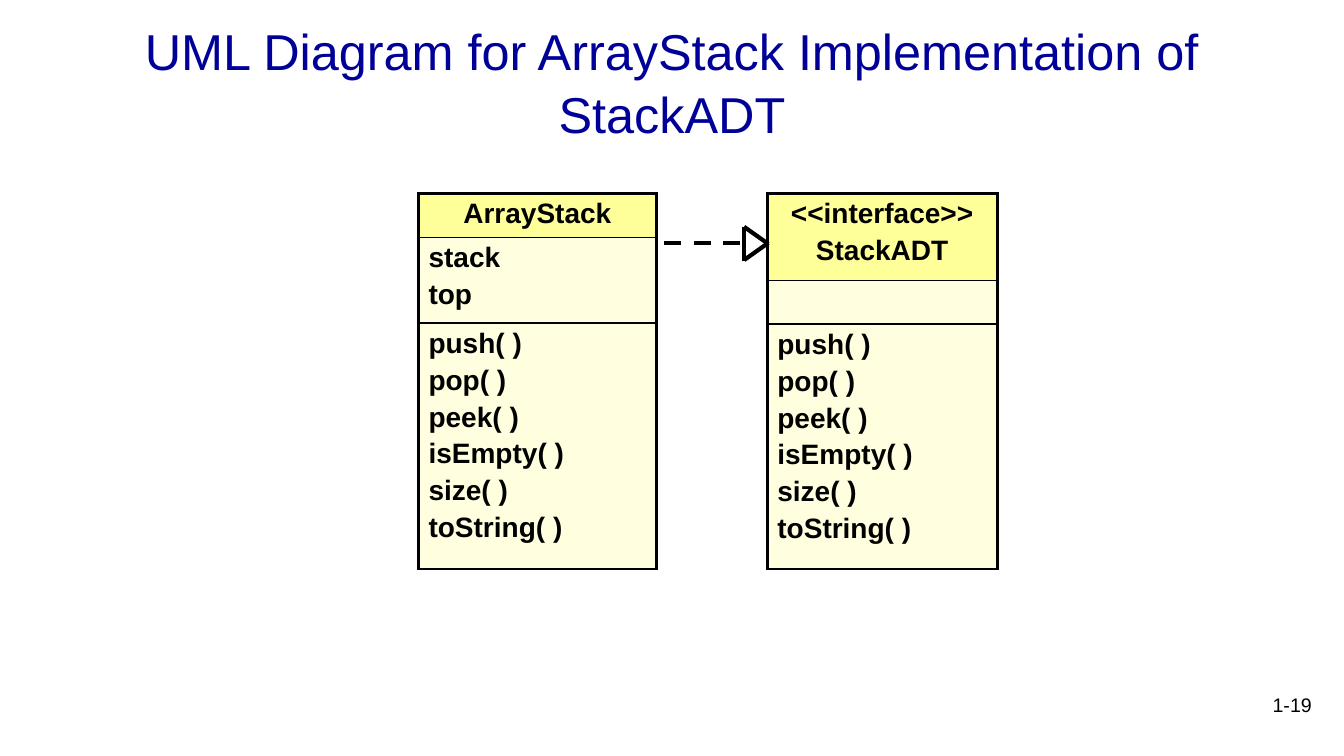
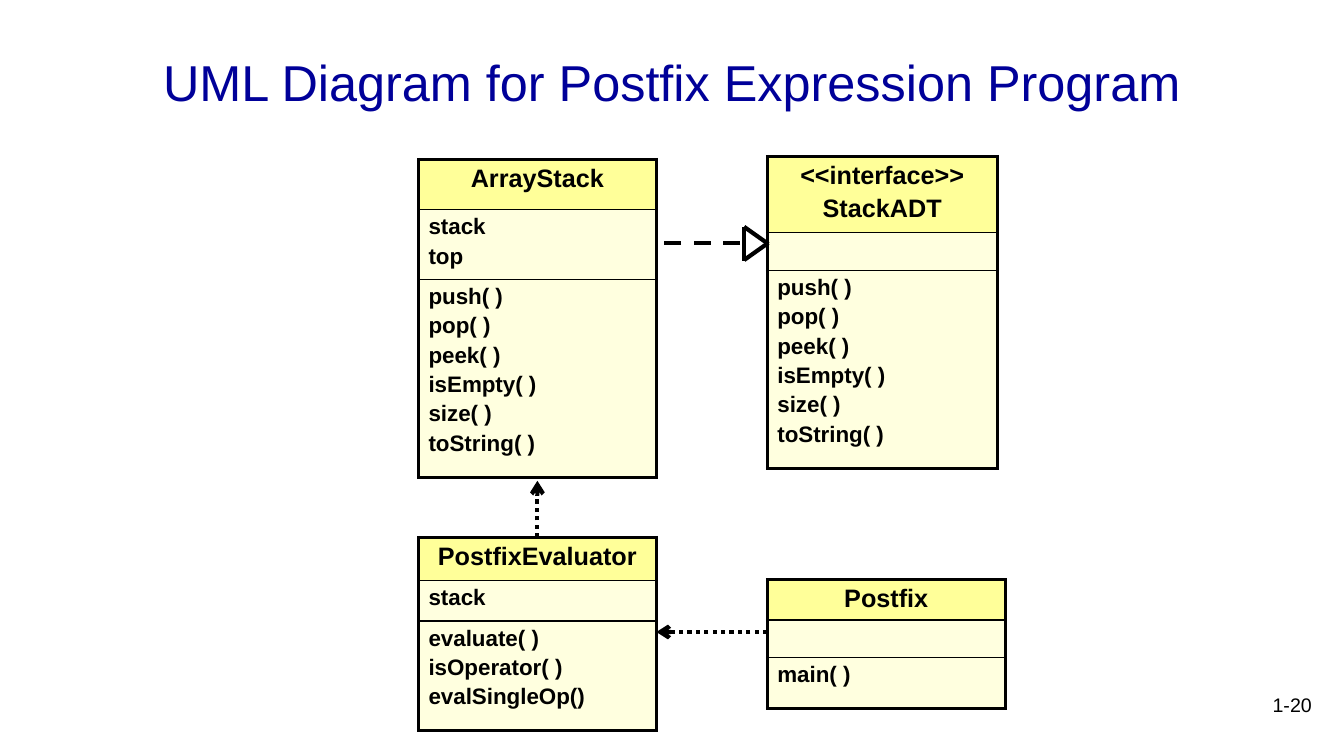
from dataclasses import dataclass

from lxml import etree
from pptx import Presentation
from pptx import util as u
from pptx.dml.color import RGBColor
from pptx.enum import dml, shapes, text
from pptx.oxml.ns import qn
from pptx.slide import Slide
from pptx.table import _Cell as Cell
from pptx.text.text import TextFrame

EMU_PER_PX = 9144
FONT = "Arial"
BLACK = "000000"
TITLE_BLUE = "000099"
HEADER_YELLOW = "FFFF99"
BODY_YELLOW = "FFFFDF"
OUTER_BORDER = 2.25
INNER_BORDER = 1
LEFT, CENTER, RIGHT = text.PP_ALIGN.LEFT, text.PP_ALIGN.CENTER, text.PP_ALIGN.RIGHT
DASHED = dml.MSO_LINE.DASH
DOTTED = dml.MSO_LINE.ROUND_DOT
STACK_FIELDS = ("stack", "top")
STACK_METHODS = ("push( )", "pop( )", "peek( )", "isEmpty( )", "size( )", "toString( )")
INTERFACE_NAME = ("<<interface>>", "StackADT")


@dataclass(frozen=True)
class ClassBox:
    left: int
    top: int
    width: int
    row_heights: tuple[int, int, int]
    name: tuple[str, ...]
    fields: tuple[str, ...]
    methods: tuple[str, ...]


@dataclass(frozen=True)
class Link:
    start: tuple[int, int]
    end: tuple[int, int]
    dash: dml.MSO_LINE | None = None
    arrow: bool = False


@dataclass(frozen=True)
class Diagram:
    title: str
    number: str
    name_size: int
    member_size: int
    boxes: tuple[ClassBox, ...]
    links: tuple[Link, ...]


REALIZATION = (
    Link((738, 225), (738, 259)),
    Link((738, 225), (762, 242)),
    Link((762, 241), (738, 258)),
    Link((734, 241), (651, 241), DASHED),
)

DIAGRAMS = (
    Diagram(
        "UML Diagram for ArrayStack Implementation of StackADT", "1-19", 20, 20,
        (
            ClassBox(761, 192, 228, (86, 43, 243), INTERFACE_NAME, (), STACK_METHODS),
            ClassBox(415, 192, 236, (43, 85, 244), ("ArrayStack",), STACK_FIELDS, STACK_METHODS),
        ),
        REALIZATION,
    ),
    Diagram(
        "UML Diagram for Postfix Expression Program", "1-20", 18, 16,
        (
            ClassBox(761, 155, 228, (76, 37, 197), INTERFACE_NAME, (), STACK_METHODS),
            ClassBox(415, 158, 236, (50, 69, 197), ("ArrayStack",), STACK_FIELDS, STACK_METHODS),
            ClassBox(761, 575, 236, (40, 37, 51), ("Postfix",), (), ("main( )",)),
            ClassBox(415, 533, 236, (43, 40, 109), ("PostfixEvaluator",), ("stack",),
                     ("evaluate( )", "isOperator( )", "evalSingleOp()")),
        ),
        (
            Link((761, 627), (651, 627), DOTTED, True),
            Link((533, 533), (533, 477), DOTTED, True),
            *REALIZATION,
        ),
    ),
)


def px(length: int) -> u.Emu:
    return u.Emu(length * EMU_PER_PX)


def color(value: str) -> RGBColor:
    return RGBColor.from_string(value)


def format_text(frame: TextFrame, size: int, align: text.PP_ALIGN,
                font_color: str = BLACK, bold: bool = False) -> None:
    for paragraph in frame.paragraphs:
        paragraph.alignment = align
        for run in paragraph.runs:
            run.font.name = FONT
            run.font.size = u.Pt(size)
            run.font.bold = bold
            run.font.color.rgb = color(font_color)


def add_title(slide: Slide, title: str) -> None:
    shape = slide.shapes.title
    shape.left, shape.top, shape.width, shape.height = map(px, (100, 17, 1133, 125))
    frame = shape.text_frame
    frame.text = title
    frame.word_wrap = True
    frame.auto_size = text.MSO_AUTO_SIZE.NONE
    frame.vertical_anchor = text.MSO_ANCHOR.MIDDLE
    frame.paragraphs[0].line_spacing = 1.05
    format_text(frame, 36, CENTER, TITLE_BLUE)


def add_number(slide: Slide, number: str) -> None:
    frame = slide.shapes.add_textbox(*map(px, (1033, 683, 278, 50))).text_frame
    frame.word_wrap = True
    frame.text = number
    format_text(frame, 14, RIGHT)


def set_borders(cell: Cell, top: float, bottom: float) -> None:
    properties = cell._tc.get_or_add_tcPr()
    widths = {"L": OUTER_BORDER, "R": OUTER_BORDER, "T": top, "B": bottom}
    for side, width in widths.items():
        line = etree.SubElement(properties, qn(f"a:ln{side}"), w=str(u.Pt(width)))
        fill = etree.SubElement(line, qn("a:solidFill"))
        etree.SubElement(fill, qn("a:srgbClr"), val=BLACK)


def fill_cell(cell: Cell, lines: tuple[str, ...], size: int, align: text.PP_ALIGN) -> None:
    frame = cell.text_frame
    frame.text = "\n".join(lines)
    format_text(frame, size, align, bold=True)
    for paragraph in frame.paragraphs:
        spacing = etree.SubElement(paragraph._p.get_or_add_pPr(), qn("a:spcBef"))
        etree.SubElement(spacing, qn("a:spcPct"), val="20000")
        if not paragraph.runs:
            etree.SubElement(paragraph._p, qn("a:endParaRPr"), sz=str(size * 100))


def add_class_box(slide: Slide, box: ClassBox, name_size: int, member_size: int) -> None:
    frame = slide.shapes.add_table(
        3, 1, px(box.left), px(box.top), px(box.width), px(sum(box.row_heights)))
    table = frame.table
    table.first_row = table.horz_banding = False
    sections = (
        (box.name, name_size, CENTER, HEADER_YELLOW),
        (box.fields, member_size, LEFT, BODY_YELLOW),
        (box.methods, member_size, LEFT, BODY_YELLOW),
    )
    edges = (OUTER_BORDER, INNER_BORDER, INNER_BORDER, OUTER_BORDER)
    for index, (lines, size, align, fill) in enumerate(sections):
        table.rows[index].height = px(box.row_heights[index])
        cell = table.cell(index, 0)
        fill_cell(cell, lines, size, align)
        set_borders(cell, edges[index], edges[index + 1])
        cell.fill.solid()
        cell.fill.fore_color.rgb = color(fill)


def add_link(slide: Slide, link: Link) -> None:
    connector = slide.shapes.add_connector(
        shapes.MSO_CONNECTOR.STRAIGHT, *map(px, link.start + link.end))
    line = connector.line
    line.color.rgb = color(BLACK)
    line.width = u.Pt(3)
    if link.dash is not None:
        line.dash_style = link.dash
    properties = connector._element.spPr
    if link.arrow:
        etree.SubElement(properties.find(qn("a:ln")), qn("a:tailEnd"), type="arrow")
    etree.SubElement(properties, qn("a:effectLst"))


def main() -> None:
    presentation = Presentation()
    presentation.slide_width, presentation.slide_height = px(1333), px(750)
    title_only = presentation.slide_layouts.get_by_name("Title Only")
    for diagram in DIAGRAMS:
        slide = presentation.slides.add_slide(title_only)
        add_number(slide, diagram.number)
        add_title(slide, diagram.title)
        for box in diagram.boxes:
            add_class_box(slide, box, diagram.name_size, diagram.member_size)
        for link in diagram.links:
            add_link(slide, link)
    presentation.save("out.pptx")


if __name__ == "__main__":
    main()
